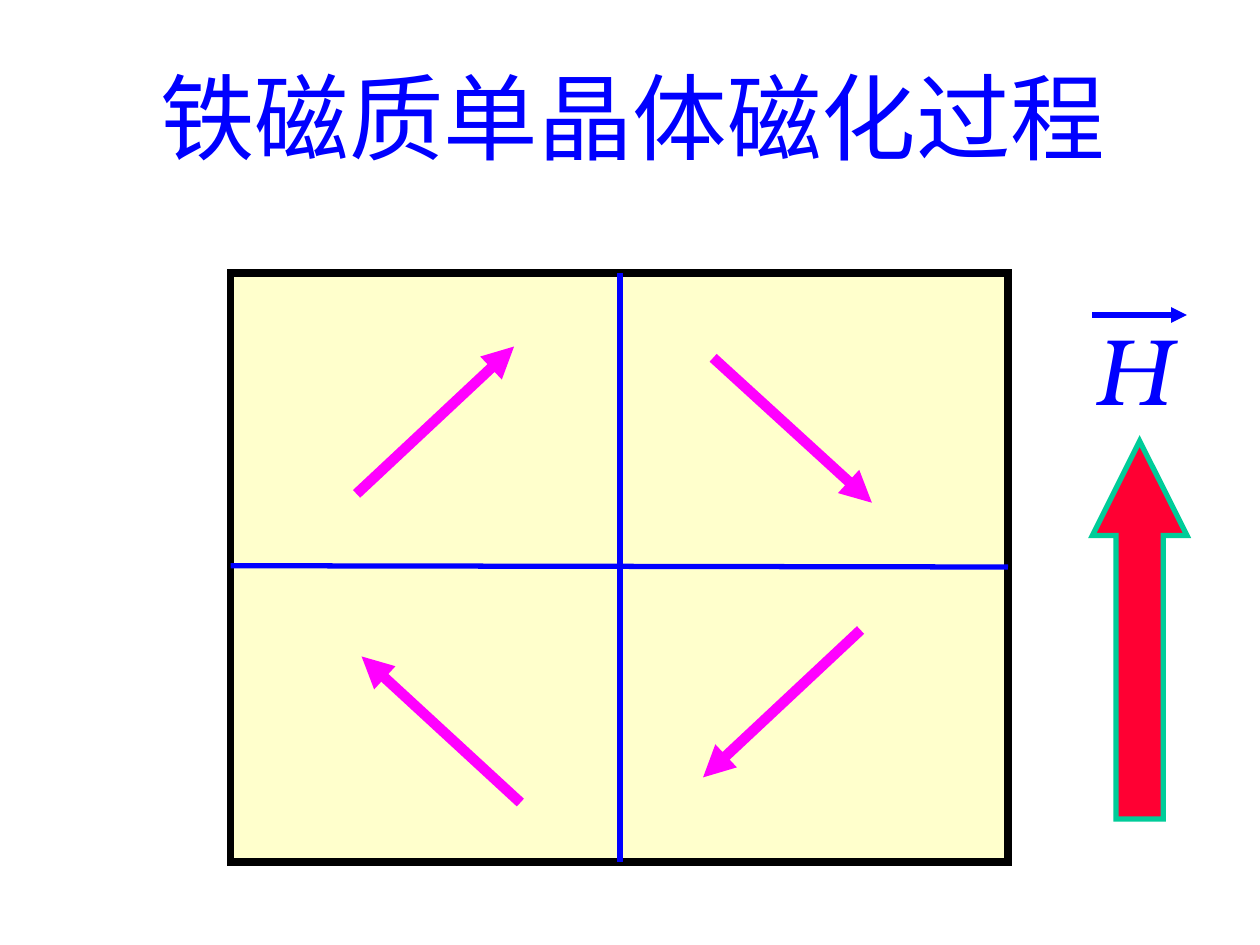
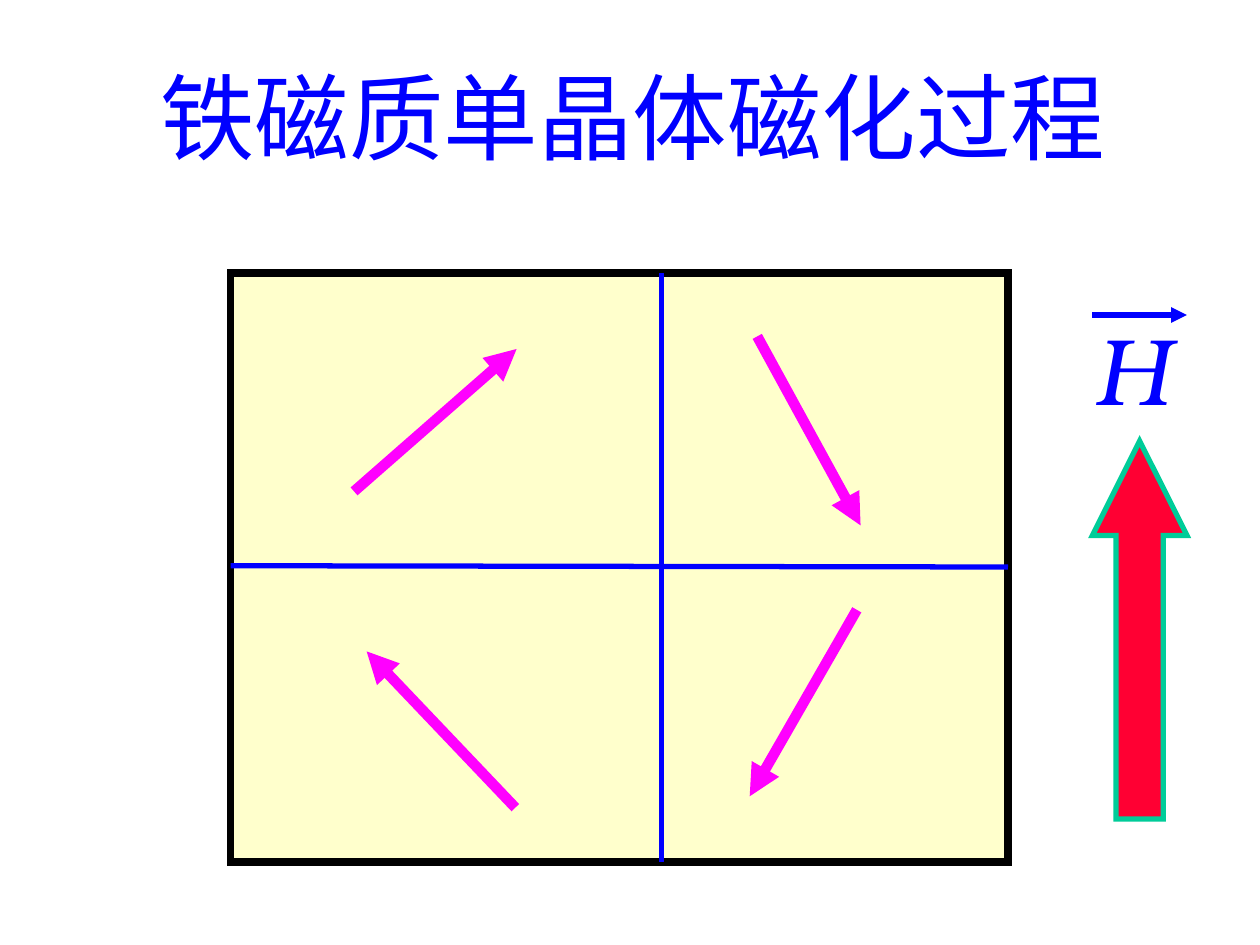
from lxml.etree import SubElement
from pptx import Presentation
from pptx.dml.color import RGBColor
from pptx.enum.shapes import MSO_CONNECTOR as Connector, MSO_SHAPE as Shape
from pptx.enum.text import MSO_ANCHOR as Anchor, MSO_AUTO_SIZE as AutoSize, PP_ALIGN as Align
from pptx.oxml.ns import qn
from pptx.util import Emu, Pt

# Shared style
PX = 9144  # 100 px to the inch
FONT = "TeX Gyre Bonum"
BLUE, MAGENTA, BLACK, CREAM = "0000FF", "FF00FF", "000000", "FFFFCC"
RED, GREEN = "FF0033", "00CC99"

TITLE = "铁磁质单晶体磁化过程"
TITLE_BOX = (117, 42, 800, 100)
CRYSTAL_BOX = (183, 217, 617, 467)
FIELD_BOX = (867, 250, 75, 400)

# Per slide: x of the vertical domain wall, then the moments from start to
# tip, all measured from the corner of the crystal
STAGES = [
    (309, [((100, 175), (225, 58)), ((383, 67), (509, 182)),
           ((230, 420), (104, 304)), ((500, 283), (375, 400))]),
    (342, [((98, 173), (227, 60)), ((418, 50), (500, 200)),
           ((226, 424), (108, 300)), ((497, 267), (412, 415))]),
]


def px(*lengths):
    return [Emu(length * PX) for length in lengths]


def color(hex_string):
    return RGBColor.from_string(hex_string)


def add_line(slide, origin, start, end, line_color, width, arrow=False):
    x, y = origin
    line = slide.shapes.add_connector(
        Connector.STRAIGHT, *px(x + start[0], y + start[1], x + end[0], y + end[1]))
    line.line.color.rgb = color(line_color)
    line.line.width = Pt(width)
    if arrow:
        SubElement(line.line._get_or_add_ln(), qn("a:tailEnd"), type="triangle")
    SubElement(line._element.spPr, qn("a:effectLst"))


def add_solid(slide, kind, box, fill_color, line_color, width):
    shape = slide.shapes.add_shape(kind, *px(*box))
    shape.shadow.inherit = False
    shape.fill.solid()
    shape.fill.fore_color.rgb = color(fill_color)
    shape.line.color.rgb = color(line_color)
    shape.line.width = Pt(width)
    # Sharp corners
    SubElement(shape.line._get_or_add_ln(), qn("a:miter"), lim="800000")
    return shape


def write_text(shape, text, italic=False):
    frame = shape.text_frame
    frame.text = text
    frame.word_wrap = False
    frame.auto_size = AutoSize.SHAPE_TO_FIT_TEXT
    frame.vertical_anchor = Anchor.TOP
    paragraph = frame.paragraphs[0]
    paragraph.alignment = Align.LEFT
    font = paragraph.runs[0].font
    font.name, font.size, font.italic = FONT, Pt(54), italic
    font.color.rgb = color(BLUE)


def add_title(slide, box):
    title = slide.shapes.title
    title.left, title.top, title.width, title.height = px(*box)
    write_text(title, TITLE)


def add_crystal(slide, box, wall_x, moments):
    left, top, width, height = box
    origin = (left, top)
    add_solid(slide, Shape.RECTANGLE, box, CREAM, BLACK, 4.5)
    # Domain walls
    add_line(slide, origin, (wall_x, 0), (wall_x, height), BLUE, 3)
    add_line(slide, origin, (0, height // 2 - 1), (width, height // 2), BLUE, 3)
    # Magnetic moments
    for start, tip in moments:
        add_line(slide, origin, start, tip, MAGENTA, 6, arrow=True)


def add_field(slide, box):
    left, top, width, height = box
    # Field direction
    arrow = add_solid(slide, Shape.UP_ARROW, (left, top + 100, width, height - 100),
                      RED, GREEN, 3)
    arrow.adjustments[0], arrow.adjustments[1] = 0.5, 1
    # Vector symbol
    symbol = slide.shapes.add_textbox(*px(left - 8, top - 8, 80, 100))
    write_text(symbol, "H", italic=True)
    add_line(slide, (left, top), (0, 0), (width, 0), BLUE, 3, arrow=True)


def main():
    presentation = Presentation()
    presentation.slide_width, presentation.slide_height = px(1000, 750)
    title_only = presentation.slide_layouts.get_by_name("Title Only")
    for wall_x, moments in STAGES:
        slide = presentation.slides.add_slide(title_only)
        add_title(slide, TITLE_BOX)
        add_crystal(slide, CRYSTAL_BOX, wall_x, moments)
        add_field(slide, FIELD_BOX)
    presentation.save("out.pptx")


if __name__ == "__main__":
    main()
